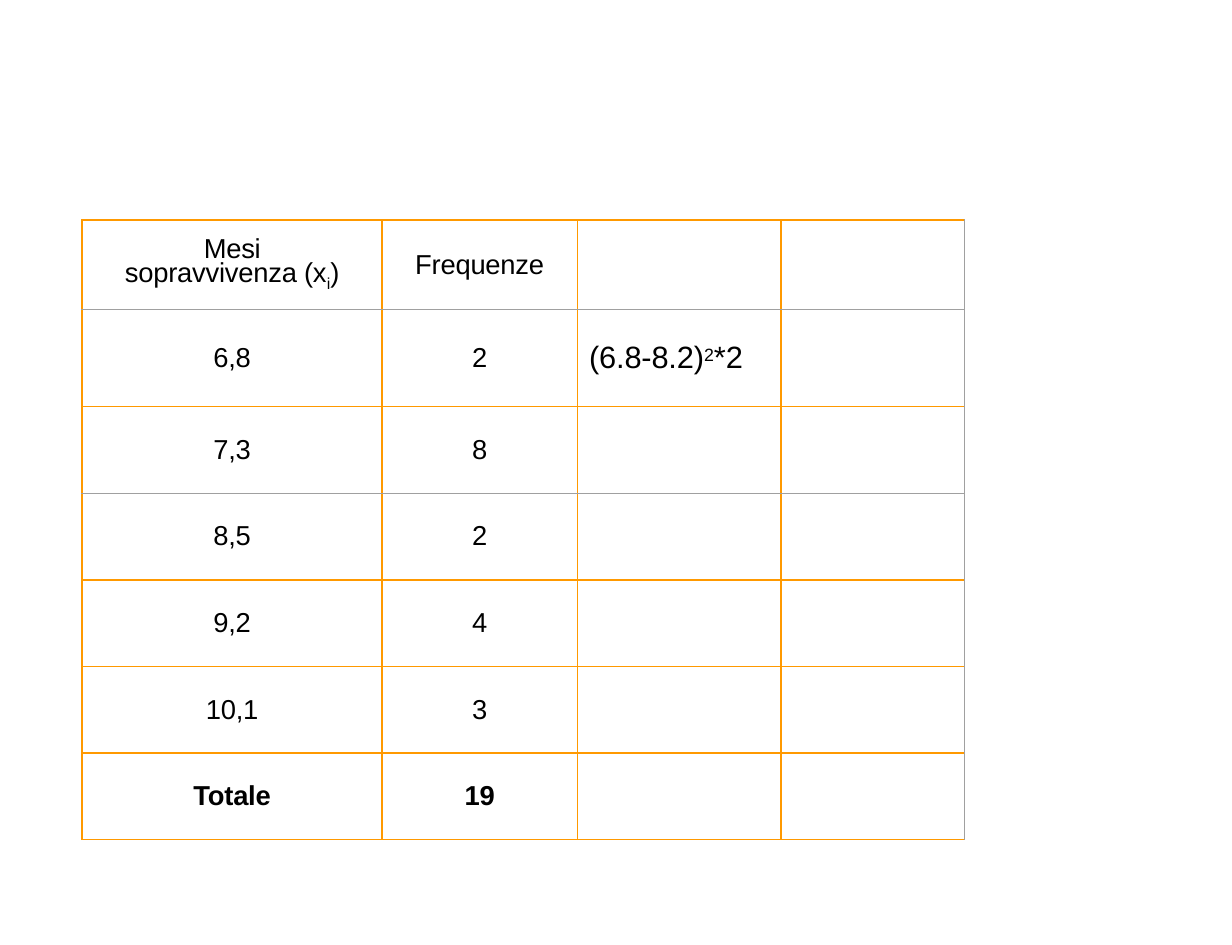
"""Build a slide with a survival frequency table."""
from dataclasses import dataclass

from lxml.etree import SubElement
from pptx import Presentation
from pptx.dml.color import RGBColor
from pptx.enum.text import MSO_ANCHOR, PP_ALIGN
from pptx.oxml.ns import qn
from pptx.util import Pt


@dataclass(frozen=True)
class Theme:
    font: str = "Arial"
    text: str = "000000"
    background: str = "FFFFFF"
    border: str = "FF9900"
    faint_border: str = "A0A0A0"
    border_width: float = 1
    faint_width: float = 0.25
    body_size: float = 16
    formula_size: float = 18
    header_leading: float = 16.4
    tracking: float = -0.1


class SlideBuilder:
    def __init__(self, slide, theme):
        self.slide = slide
        self.theme = theme

    def add_table(self, left, top, widths, heights):
        frame = self.slide.shapes.add_table(
            len(heights), len(widths), Pt(left), Pt(top), Pt(sum(widths)), Pt(sum(heights)))
        table = frame.table
        table.first_row = table.horz_banding = False
        for column, width in zip(table.columns, widths):
            column.width = Pt(width)
        for row, height in zip(table.rows, heights):
            row.height = Pt(height)
        return table

    def add_border(self, cell, side, faint=False):
        theme = self.theme
        width = theme.faint_width if faint else theme.border_width
        properties = cell._tc.get_or_add_tcPr()
        line = SubElement(properties, qn(f"a:ln{side}"), w=str(Pt(width)))
        fill = SubElement(line, qn("a:solidFill"))
        SubElement(fill, qn("a:srgbClr"), val=theme.faint_border if faint else theme.border)

    def style_cell(self, cell, faint_sides):
        for side in "LRTB":
            self.add_border(cell, side, side in faint_sides)
        cell.fill.solid()
        cell.fill.fore_color.rgb = RGBColor.from_string(self.theme.background)
        cell.vertical_anchor = MSO_ANCHOR.MIDDLE
        cell.margin_left = cell.margin_right = cell.margin_top = cell.margin_bottom = 0

    def write_cell(self, cell, parts, size, bold=False, alignment=PP_ALIGN.CENTER):
        paragraph = cell.text_frame.paragraphs[0]
        paragraph.alignment = alignment
        for text, baseline in parts:
            run = paragraph.add_run()
            run.text = text
            run.font.name = self.theme.font
            run.font.size = Pt(size)
            run.font.bold = bold
            run.font.color.rgb = RGBColor.from_string(self.theme.text)
            properties = run.font._element
            properties.set("spc", str(round(self.theme.tracking * 100)))
            if baseline:
                properties.set("baseline", str(baseline * 1000))


def main():
    theme = Theme()
    presentation = Presentation()
    presentation.slide_width, presentation.slide_height = Pt(720), Pt(552.24)
    slide = presentation.slides.add_slide(presentation.slide_layouts[6])
    builder = SlideBuilder(slide, theme)

    frequencies = [
        ("6,8", "2"), ("7,3", "8"), ("8,5", "2"), ("9,2", "4"), ("10,1", "3"), ("Totale", "19"),
    ]
    month_header = [("Mesi sopravvivenza (x", 0), ("i", -26), (")", 0)]
    rows = [(month_header, [("Frequenze", 0)])]
    rows += [([(month, 0)], [(count, 0)]) for month, count in frequencies]

    widths = [175.4, 114, 119.2, 106.8]
    heights = [52.4, 56.8] + [50.6] * 5
    table = builder.add_table(48, 128.5, widths, heights)

    faint_below = {0, 2}
    last_row, last_column = len(heights) - 1, len(widths) - 1
    for row in range(len(heights)):
        for column in range(len(widths)):
            faint_sides = {
                side for side, faint in (
                    ("T", row - 1 in faint_below),
                    ("B", row in faint_below),
                    ("R", column == last_column),
                ) if faint
            }
            builder.style_cell(table.cell(row, column), faint_sides)

    for row, contents in enumerate(rows):
        for column, parts in enumerate(contents):
            builder.write_cell(
                table.cell(row, column), parts, theme.body_size, bold=row == last_row)

    header = table.cell(0, 0)
    header.margin_left = header.margin_right = Pt(20)
    header.text_frame.paragraphs[0].line_spacing = Pt(theme.header_leading)

    formula = table.cell(1, 2)
    formula.margin_left = Pt(7)
    builder.write_cell(
        formula, [("(6.8-8.2)", 0), ("2", 25), ("*2", 0)],
        theme.formula_size, alignment=PP_ALIGN.LEFT)

    presentation.save("out.pptx")


if __name__ == "__main__":
    main()
